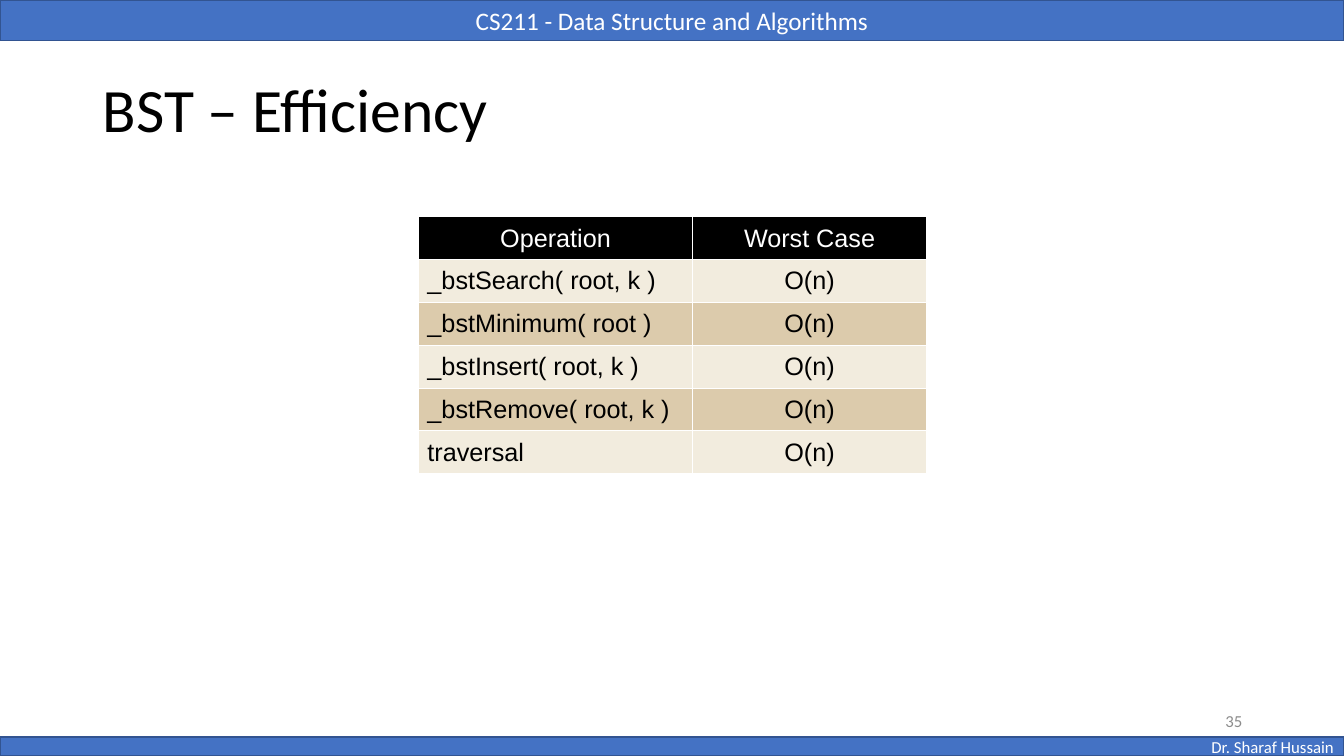
from lxml.etree import SubElement
from pptx import Presentation
from pptx.dml.color import RGBColor
from pptx.enum.shapes import MSO_SHAPE
from pptx.enum.text import MSO_ANCHOR, PP_ALIGN
from pptx.oxml.ns import qn
from pptx.util import Inches, Pt

COLORS = {
    "bar": "4472C4",
    "bar_line": "325491",
    "white": "FFFFFF",
    "black": "000000",
    "number": "8C8C8C",
    "light_row": "F2ECDE",
    "dark_row": "DCCBAC",
}
HEADINGS = ("Operation", "Worst Case")
OPERATIONS = (
    ("_bstSearch( root, k )", "O(n)"),
    ("_bstMinimum( root )", "O(n)"),
    ("_bstInsert( root, k )", "O(n)"),
    ("_bstRemove( root, k )", "O(n)"),
    ("traversal", "O(n)"),
)
COLUMN_WIDTHS = (2.72, 2.32)
ROW_HEIGHT = 0.425


def rgb(name):
    return RGBColor.from_string(COLORS[name])


def write(tf, text, size=18, font="Calibri", color="black",
          align=PP_ALIGN.LEFT, spacing=None):
    p = tf.paragraphs[0]
    p.alignment = align
    p.line_spacing = spacing
    r = p.add_run()
    r.text = text
    r.font.size = Pt(size)
    r.font.name = font
    r.font.color.rgb = rgb(color)


def set_margins(target, left, top, right, bottom):
    """Set the insets of a text frame or a table cell."""
    target.margin_left = Inches(left)
    target.margin_top = Inches(top)
    target.margin_right = Inches(right)
    target.margin_bottom = Inches(bottom)


def add_bar(s, top, height, text, **fmt):
    sp = s.shapes.add_shape(MSO_SHAPE.RECTANGLE, 0, Inches(top),
                            Inches(13.33), Inches(height))
    sp.shadow.inherit = False
    sp.fill.solid()
    sp.fill.fore_color.rgb = rgb("bar")
    sp.line.color.rgb = rgb("bar_line")
    sp.line.width = Pt(1)
    sp.text_frame.vertical_anchor = MSO_ANCHOR.MIDDLE
    write(sp.text_frame, text, color="white", **fmt)


def add_text(s, left, top, width, height, text, margins, **fmt):
    sp = s.shapes.add_textbox(Inches(left), Inches(top),
                              Inches(width), Inches(height))
    tf = sp.text_frame
    tf.word_wrap = True
    tf.vertical_anchor = MSO_ANCHOR.MIDDLE
    set_margins(tf, *margins)
    write(tf, text, **fmt)


def add_borders(cell, sides):
    """Draw thin white lines on the sides, given in the order L, R, T, B."""
    tc_pr = cell._tc.get_or_add_tcPr()
    for i, side in enumerate(sides):
        ln = SubElement(tc_pr, qn(f"a:ln{side}"), w=str(Pt(0.57)))
        fill = SubElement(ln, qn("a:solidFill"))
        SubElement(fill, qn("a:srgbClr"), val=COLORS["white"])
        tc_pr.insert(i, ln)


def add_efficiency_table(s, left, top):
    rows = (HEADINGS,) + OPERATIONS
    table = s.shapes.add_table(
        len(rows), len(HEADINGS), Inches(left), Inches(top),
        Inches(sum(COLUMN_WIDTHS)), Inches(ROW_HEIGHT * len(rows))).table
    for column, width in zip(table.columns, COLUMN_WIDTHS):
        column.width = Inches(width)
    for i, texts in enumerate(rows):
        table.rows[i].height = Inches(ROW_HEIGHT)
        header = i == 0
        fill = "black" if header else "light_row" if i % 2 else "dark_row"
        for j, text in enumerate(texts):
            cell = table.cell(i, j)
            cell.fill.solid()
            cell.fill.fore_color.rgb = rgb(fill)
            cell.vertical_anchor = MSO_ANCHOR.MIDDLE
            set_margins(cell, 0.09, 0.08, 0.09, 0.06)
            centered = header or j == 1
            write(cell.text_frame, text, font="Arial", spacing=0.93,
                  color="white" if header else "black",
                  align=PP_ALIGN.CENTER if centered else PP_ALIGN.LEFT)
            add_borders(cell, "LRTB")


def main():
    prs = Presentation()
    prs.slide_width = Inches(13.33)
    prs.slide_height = Inches(7.5)
    s = prs.slides.add_slide(prs.slide_layouts[6])
    add_bar(s, 0, 0.4, "CS211 - Data Structure and Algorithms",
            align=PP_ALIGN.CENTER)
    add_bar(s, 7.31, 0.19, "Dr. Sharaf Hussain", size=12,
            align=PP_ALIGN.RIGHT)
    add_text(s, 0.92, 0.4, 11.5, 1.45, "BST – Efficiency",
             (0.1, 0.03, 0.1, 0.05), size=44, spacing=0.9)
    add_text(s, 9.42, 6.95, 3, 0.4, "35", (0.1, 0.05, 0.1, 0.05),
             size=12, color="number", align=PP_ALIGN.RIGHT)
    add_efficiency_table(s, 4.15, 2.15)
    prs.save("out.pptx")


if __name__ == "__main__":
    main()
